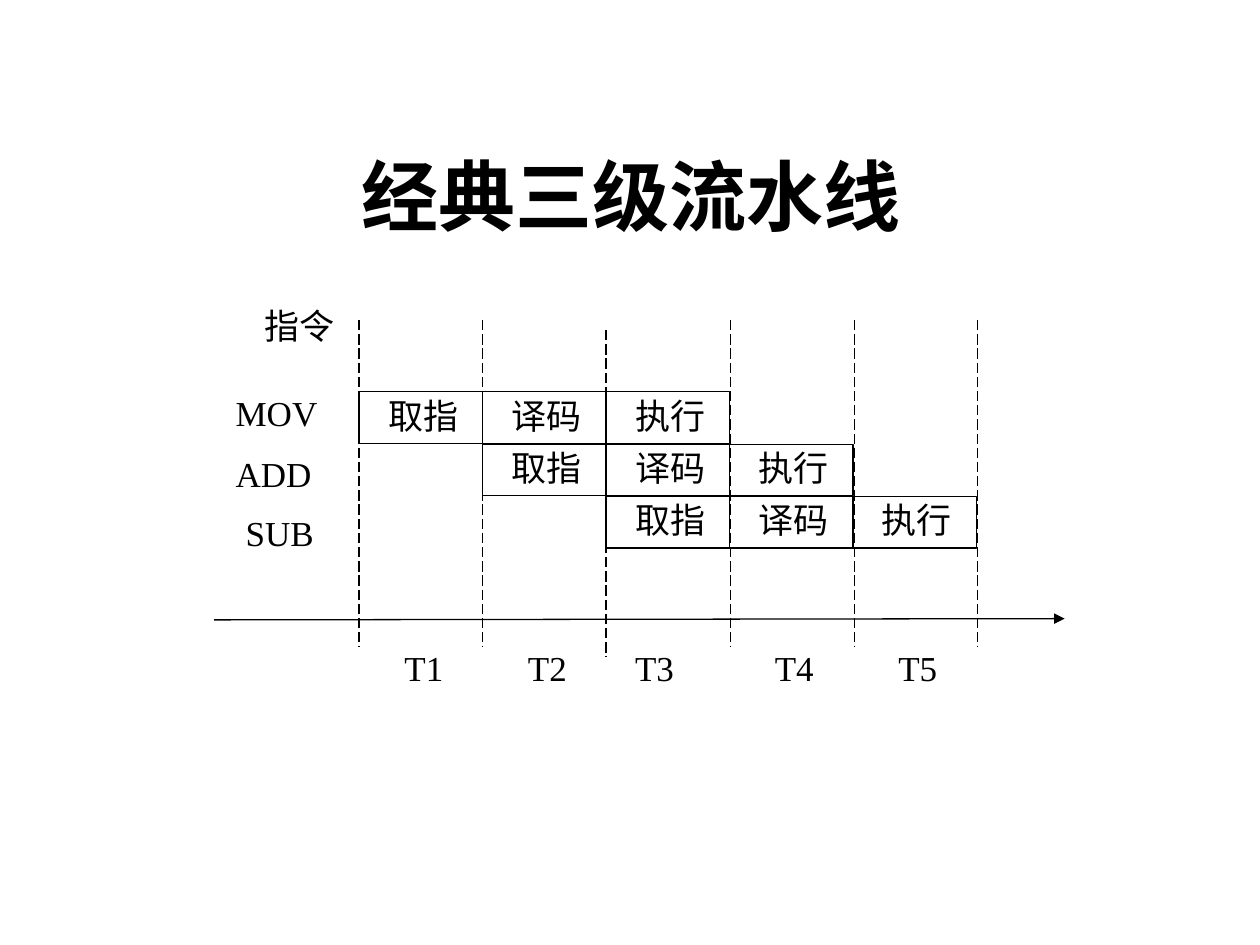
from dataclasses import dataclass

import pptx
import pptx.dml.color
import pptx.enum.dml
import pptx.enum.shapes
import pptx.enum.text
import pptx.oxml
import pptx.oxml.ns
import pptx.util
from pptx.util import Inches


@dataclass(frozen=True)
class Theme:
    """Colours, font and sizes used on the slide."""
    ink: pptx.dml.color.RGBColor = pptx.dml.color.RGBColor(0, 0, 0)
    paper: pptx.dml.color.RGBColor = pptx.dml.color.RGBColor(255, 255, 255)
    font: str = "Times New Roman"
    title_size: int = 44
    body_size: int = 20
    line_width: float = 0.75


@dataclass(frozen=True)
class Label:
    """A short text and its place in inches."""
    text: str
    left: float
    top: float
    width: float = 0.8
    height: float = 0.4


@dataclass(frozen=True)
class Rule:
    """A straight line between two points in inches."""
    x1: float
    y1: float
    x2: float
    y2: float


THEME = Theme()
GRID_LEFT, GRID_TOP = 2.85, 3.11
CYCLE_WIDTH, ROW_HEIGHT = 0.98, 0.41
ROW_PITCH = 0.415
STAGES = ("取指", "译码", "执行")
INSTRUCTIONS = (
    Label("MOV", 1.87, 3.11),
    Label("ADD", 1.87, 3.59),
    Label("SUB", 1.95, 4.06),
)
HEADING = Label("指令", 2.1, 2.42, 0.6)
CYCLE_LABELS = tuple(
    Label(f"T{number}", left, 5.13, 0.43)
    for number, left in enumerate((3.21, 4.19, 5.04, 6.15, 7.13), start=1)
)
TIME_AXIS = Rule(1.7, 4.92, 8.45, 4.91)


def write_text(frame, text: str, *, size: float = THEME.body_size, bold: bool = False,
               align=pptx.enum.text.PP_ALIGN.LEFT,
               anchor=pptx.enum.text.MSO_ANCHOR.TOP) -> None:
    """Fill a text frame with one formatted paragraph."""
    frame.word_wrap = True
    frame.vertical_anchor = anchor
    paragraph = frame.paragraphs[0]
    paragraph.alignment = align
    run = paragraph.add_run()
    run.text = text
    run.font.name = THEME.font
    run.font.size = pptx.util.Pt(size)
    run.font.bold = bold
    run.font.color.rgb = THEME.ink


def add_label(slide, label: Label) -> None:
    """Add a text box without margins."""
    box = slide.shapes.add_textbox(Inches(label.left), Inches(label.top),
                                   Inches(label.width), Inches(label.height))
    frame = box.text_frame
    frame.margin_left = frame.margin_right = frame.margin_top = frame.margin_bottom = 0
    write_text(frame, label.text)


def style_line(line) -> None:
    """Give a line the ink colour and the common width."""
    line.color.rgb = THEME.ink
    line.width = pptx.util.Pt(THEME.line_width)


def add_rule(slide, rule: Rule, *, dashed: bool = False, arrow: bool = False) -> None:
    """Add a straight line, optionally dashed or with an arrowhead at its end."""
    connector = slide.shapes.add_connector(
        pptx.enum.shapes.MSO_CONNECTOR.STRAIGHT,
        Inches(rule.x1), Inches(rule.y1), Inches(rule.x2), Inches(rule.y2))
    style_line(connector.line)
    if dashed:
        connector.line.dash_style = pptx.enum.dml.MSO_LINE.LONG_DASH
    if arrow:
        head = pptx.oxml.parse_xml(
            f'<a:tailEnd {pptx.oxml.ns.nsdecls("a")} type="triangle"/>')
        connector.line._get_or_add_ln().append(head)
    connector._element.spPr.append(
        pptx.oxml.parse_xml(f'<a:effectLst {pptx.oxml.ns.nsdecls("a")}/>'))


def add_stage(slide, name: str, row: int, cycle: int) -> None:
    """Add one pipeline stage: its label and the outlined cell around it."""
    left = GRID_LEFT + cycle * CYCLE_WIDTH
    top = GRID_TOP + row * ROW_PITCH
    add_label(slide, Label(name, left + 0.23, top + 0.02, 0.6, 0.49))
    cell = slide.shapes.add_shape(
        pptx.enum.shapes.MSO_SHAPE.RECTANGLE, Inches(left), Inches(top),
        Inches(CYCLE_WIDTH), Inches(ROW_HEIGHT))
    cell.shadow.inherit = False
    cell.fill.background()
    style_line(cell.line)


def add_title(slide, text: str) -> None:
    """Place and format the title placeholder."""
    title = slide.shapes.title
    title.left, title.top = Inches(0.51), Inches(0.92)
    title.width, title.height = Inches(9), Inches(1.25)
    write_text(title.text_frame, text, size=THEME.title_size, bold=True,
               align=pptx.enum.text.PP_ALIGN.CENTER,
               anchor=pptx.enum.text.MSO_ANCHOR.MIDDLE)


def build() -> None:
    """Build the pipeline timing slide and save it."""
    deck = pptx.Presentation()
    deck.slide_width, deck.slide_height = Inches(10), Inches(7.5)
    slide = deck.slides.add_slide(deck.slide_layouts[5])
    slide.background.fill.solid()
    slide.background.fill.fore_color.rgb = THEME.paper
    add_title(slide, "经典三级流水线")

    for index, x in enumerate((2.85, 3.83, 4.81, 5.8, 6.78, 7.76)):
        top = 2.62 if index == 2 else 2.54
        add_rule(slide, Rule(x, top, x, top + 2.59), dashed=True)

    for row in range(len(INSTRUCTIONS)):
        for step, stage in enumerate(STAGES):
            add_stage(slide, stage, row, row + step)

    add_rule(slide, TIME_AXIS, arrow=True)
    for label in (*INSTRUCTIONS, HEADING, *CYCLE_LABELS):
        add_label(slide, label)
    deck.save("out.pptx")


build()
